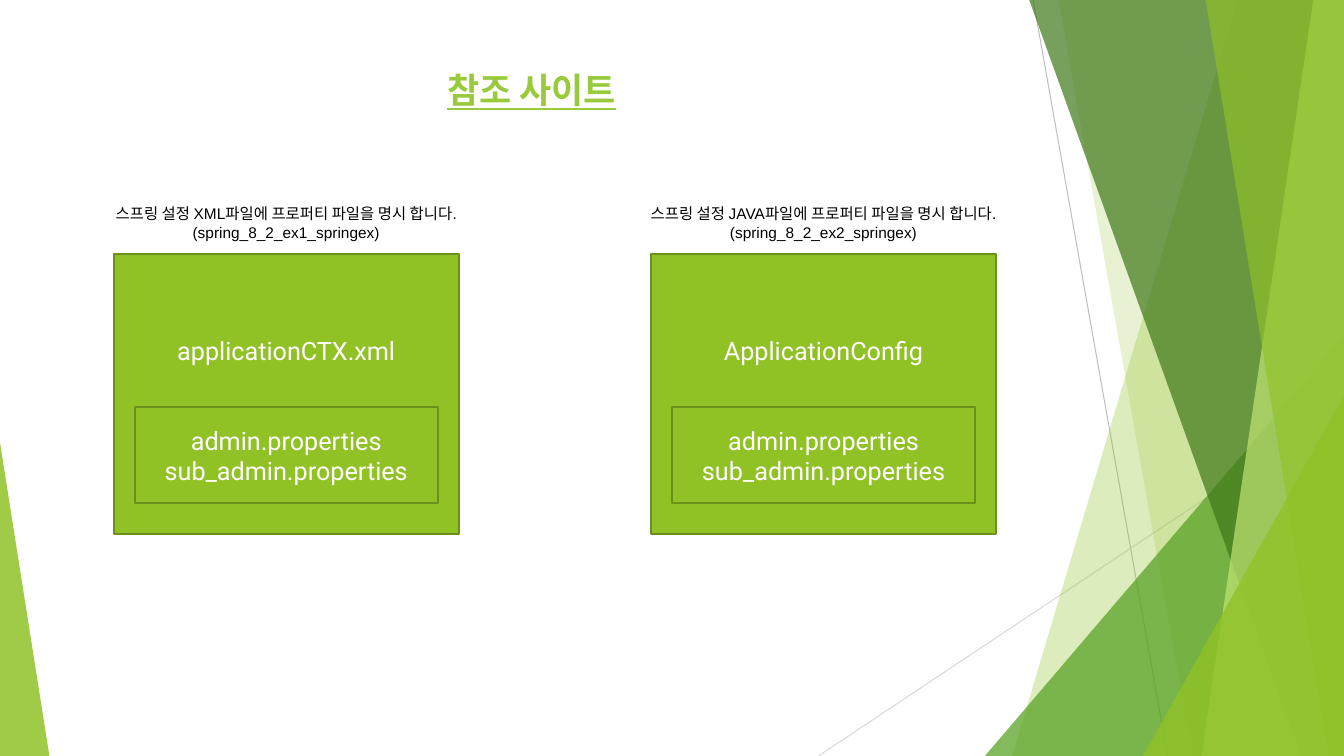
from lxml import etree
from pptx import Presentation
from pptx.dml.color import RGBColor
from pptx.enum.shapes import MSO_CONNECTOR, MSO_SHAPE
from pptx.enum.text import MSO_ANCHOR, PP_ALIGN
from pptx.oxml.ns import qn
from pptx.util import Pt

RECT, TRIANGLE = MSO_SHAPE.RECTANGLE, MSO_SHAPE.ISOSCELES_TRIANGLE
LEFT, CENTER = PP_ALIGN.LEFT, PP_ALIGN.CENTER
TOP, MIDDLE = MSO_ANCHOR.TOP, MSO_ANCHOR.MIDDLE
W, H, EDGE = 960, 540, -0.6
GREEN, BORDER = "90C226", "6B901C"

TITLE = "참조 사이트"
PANELS = [
    (204.5, ["스프링 설정 XML파일에 프로퍼티 파일을 명시 합니다.", "(spring_8_2_ex1_springex)"],
     "applicationCTX.xml"),
    (588.3, ["스프링 설정 JAVA파일에 프로퍼티 파일을 명시 합니다.", "(spring_8_2_ex2_springex)"],
     "ApplicationConfig"),
]
PROPERTIES = ["admin.properties", "sub_admin.properties"]
RAYS = [(738, 0, 834, H, "BFBFBF"), (W, 290.2, 584.6, H, "D9D9D9")]
FACETS = [
    ("band", (884.2, 723), GREEN, 30),
    ("band", (756, 851.8), GREEN, 20),
    ("triangle", (703.5, 239.8, 256.5, 1), "54A021", 72),
    ("band", (735, 929.5), "3F7819", 70),
    ("band", (938.2, 858.2), "C0E474", 70),
    ("band", (861.1, 949), GREEN, 65),
    ("triangle", (816.5, 283, 143.5, 1), GREEN, 80),
    ("triangle", (0, 316.1, 35.3, 0), GREEN, 85),
]
TITLE_FONT = dict(name="Roboto", size=Pt(25), bold=True, underline=True)
CAPTION_FONT = dict(name="Arial", size=Pt(11))
BOX_FONT = dict(name="Roboto", size=Pt(18))

prs = Presentation()
prs.slide_width, prs.slide_height = Pt(W), Pt(H)
s = prs.slides.add_slide(prs.slide_layouts[6])


def paint(color, value):
    color.rgb = RGBColor.from_string(value)


def fill(sp, color, opacity=100):
    sp.shadow.inherit = False
    sp.fill.solid()
    paint(sp.fill.fore_color, color)
    if opacity < 100:
        clr = sp.fill._xPr.find(qn("a:solidFill"))[0]
        etree.SubElement(clr, qn("a:alpha")).set("val", str(opacity * 1000))


def write(sp, lines, font, color, align=CENTER, anchor=TOP, bottom=3.6):
    tf = sp.text_frame
    tf.word_wrap = True
    tf.vertical_anchor = anchor
    tf.margin_bottom = Pt(bottom)
    for i, line in enumerate(lines):
        p = tf.add_paragraph() if i else tf.paragraphs[0]
        p.alignment = align
        r = p.add_run()
        r.text = line
        paint(r.font.color, color)
        for key, value in font.items():
            setattr(r.font, key, value)


def text(x, y, w, h, *args, **kw):
    write(s.shapes.add_textbox(Pt(x), Pt(y), Pt(w), Pt(h)), *args, **kw)


def box(center, y, w, h, lines, bottom=3.6):
    sp = s.shapes.add_shape(RECT, Pt(center - w / 2), Pt(y), Pt(w), Pt(h))
    fill(sp, GREEN)
    paint(sp.line.color, BORDER)
    sp.line.width = Pt(1.5)
    write(sp, lines, BOX_FONT, "FFFFFF", anchor=MIDDLE, bottom=bottom)


def band(top_x, bottom_x):
    builder = s.shapes.build_freeform(Pt(top_x), Pt(EDGE), scale=1)
    corners = [(W, EDGE), (W, H), (bottom_x, H)]
    builder.add_line_segments([(Pt(x), Pt(y)) for x, y in corners], close=True)
    return builder.convert_to_shape()


def triangle(x, y, w, apex):
    sp = s.shapes.add_shape(TRIANGLE, Pt(x), Pt(y), Pt(w), Pt(H - y))
    sp.adjustments[0] = apex
    return sp


for x1, y1, x2, y2, color in RAYS:
    ray = s.shapes.add_connector(MSO_CONNECTOR.STRAIGHT, Pt(x1), Pt(y1), Pt(x2), Pt(y2))
    paint(ray.line.color, color)
    ray.line.width = Pt(0.75)
    etree.SubElement(ray._element.spPr, qn("a:effectLst"))

for kind, place, color, opacity in FACETS:
    facet = (band if kind == "band" else triangle)(*place)
    fill(facet, color, opacity)
    facet.line.fill.background()

for center, caption, config in PANELS:
    box(center, 181.4, 246.4, 200.2, [config], bottom=66.6)
    box(center, 290.9, 216.7, 68.4, PROPERTIES)
    text(center - 148.2, 142.6, 296.4, 33.1, caption, CAPTION_FONT, "000000")

text(312.5, 45.4, 211, 37.4, [TITLE], TITLE_FONT, "99CA3C", align=LEFT)

prs.save("out.pptx")
